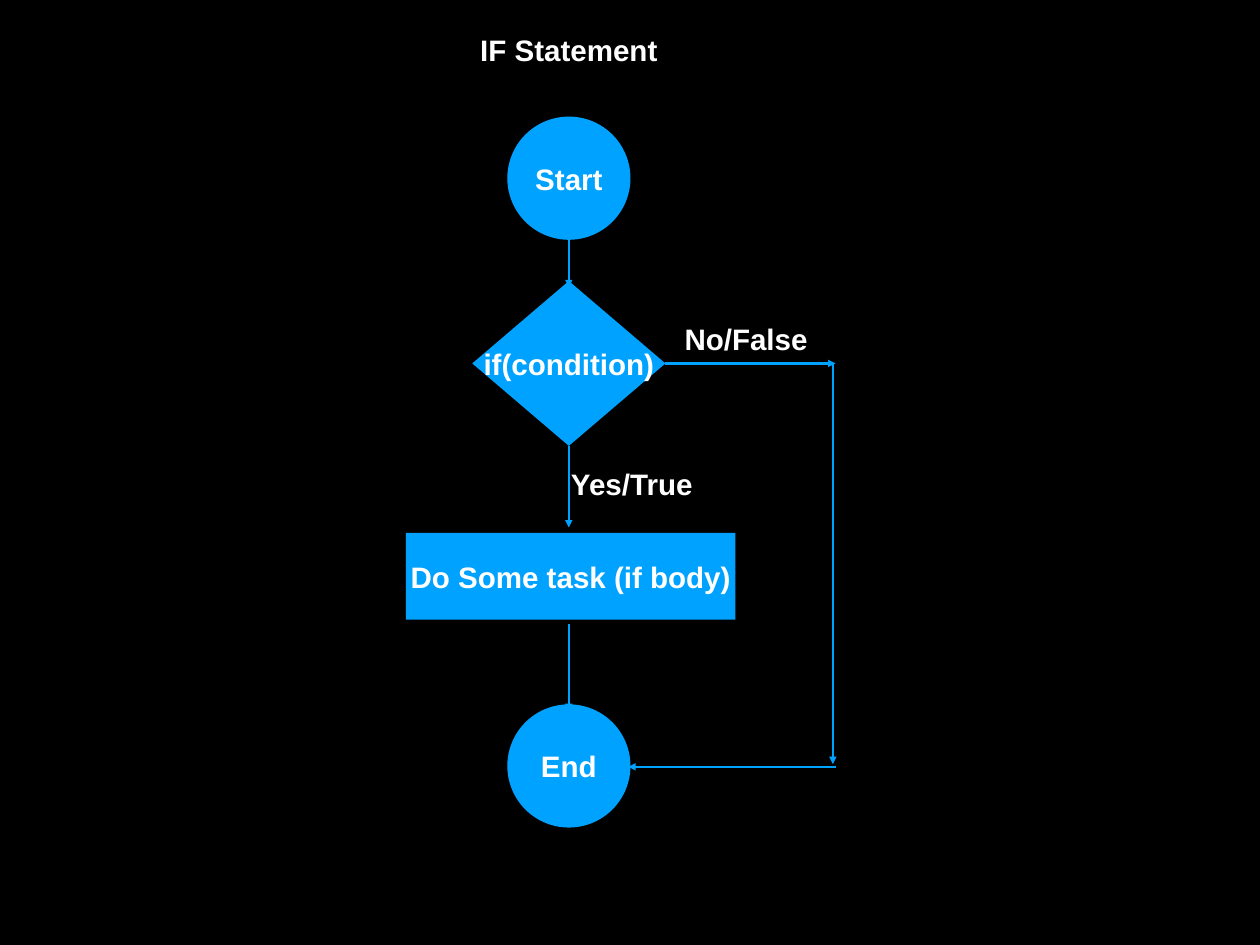
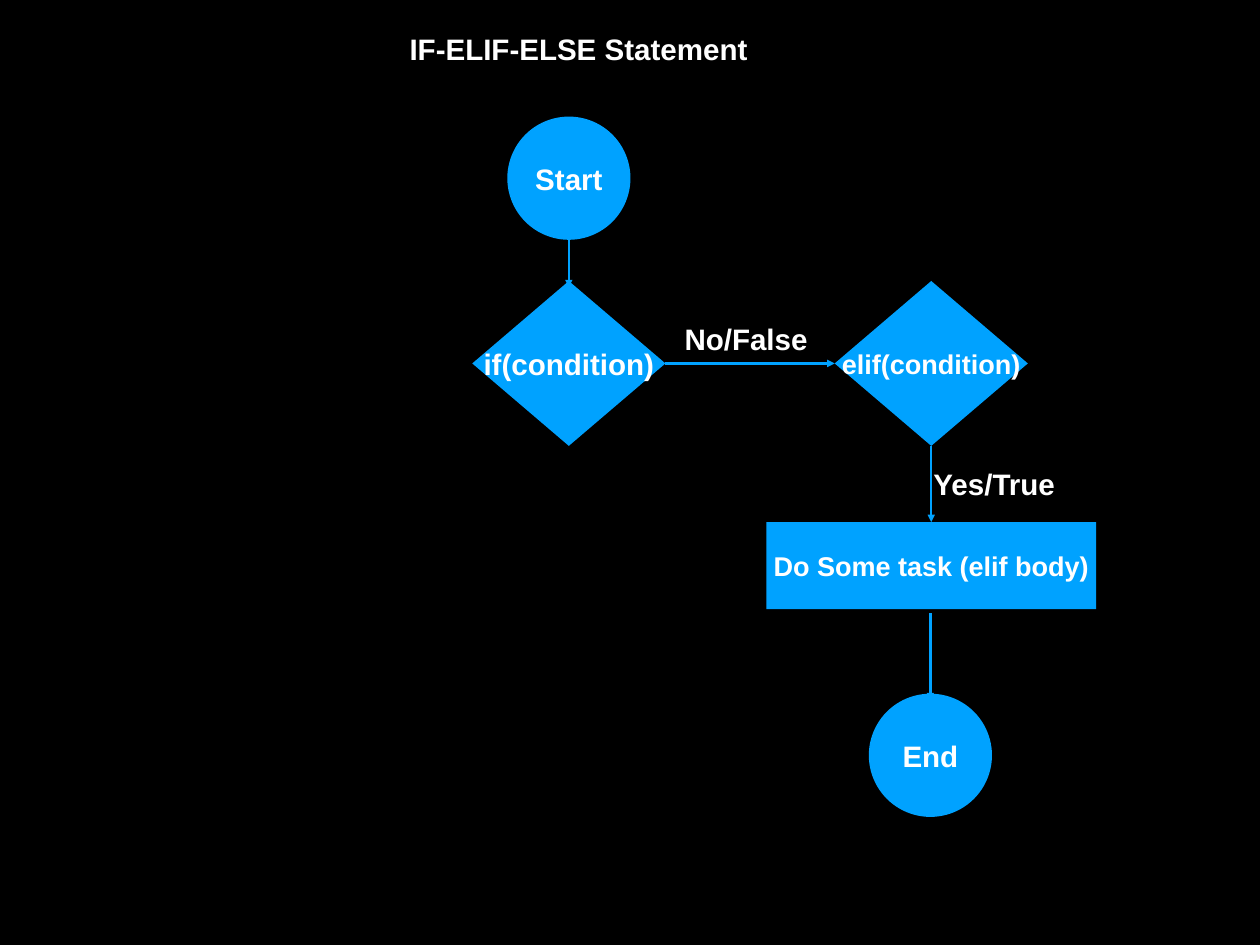
from dataclasses import dataclass

from lxml import etree
from pptx import Presentation
from pptx.dml.color import RGBColor
from pptx.enum.shapes import MSO_CONNECTOR, MSO_SHAPE
from pptx.enum.text import MSO_ANCHOR, MSO_AUTO_SIZE, PP_ALIGN
from pptx.oxml.ns import qn
from pptx.util import Inches, Pt

STRAIGHT = MSO_CONNECTOR.STRAIGHT
CIRCLE, DIAMOND, RECTANGLE = MSO_SHAPE.OVAL, MSO_SHAPE.DIAMOND, MSO_SHAPE.RECTANGLE
MIDDLE, CENTER = MSO_ANCHOR.MIDDLE, PP_ALIGN.CENTER
FIT_NONE = MSO_AUTO_SIZE.NONE
TOP, LEFT, BOTTOM, RIGHT = range(4)


@dataclass(frozen=True)
class Theme:
    background: RGBColor = RGBColor(0x00, 0x00, 0x00)
    accent: RGBColor = RGBColor(0x00, 0xA2, 0xFF)
    text: RGBColor = RGBColor(0xFF, 0xFF, 0xFF)
    font: str = "Arial"
    regular: int = 24
    compact: int = 22
    line: int = 2
    inset: float = 0.06


THEME = Theme()
MAIN_AXIS = 6.42
DECISION_Y = 4.1
DECISION_SIZE = (2.18, 1.86)
CIRCLE_SIZE = (1.39, 1.39)
TASK_SIZE = (3.72, 0.98)
BRANCH_LABEL_WIDTH = 1.8
LABEL_HEIGHT = 0.51
YES_ARROW_END = 5.95
BYPASS_X = 9.43


def write_text(shape, text, size):
    frame = shape.text_frame
    frame.word_wrap = False
    frame.auto_size = FIT_NONE
    frame.vertical_anchor = MIDDLE
    frame.margin_left = frame.margin_right = Inches(THEME.inset)
    frame.margin_top = frame.margin_bottom = Inches(THEME.inset)
    para = frame.paragraphs[0]
    para.alignment = CENTER
    span = para.add_run()
    span.text = text
    span.font.name = THEME.font
    span.font.size = Pt(size)
    span.font.bold = True
    span.font.color.rgb = THEME.text


def add_label(page, text, center, width=BRANCH_LABEL_WIDTH):
    x, y = center
    box = page.shapes.add_textbox(
        Inches(x - width / 2), Inches(y - LABEL_HEIGHT / 2), Inches(width), Inches(LABEL_HEIGHT)
    )
    write_text(box, text, THEME.regular)


def add_node(page, kind, text, center, size, text_size=THEME.regular):
    (x, y), (width, height) = center, size
    node = page.shapes.add_shape(
        kind, Inches(x - width / 2), Inches(y - height / 2), Inches(width), Inches(height)
    )
    node.shadow.inherit = False
    node.fill.solid()
    node.fill.fore_color.rgb = THEME.accent
    node.line.fill.background()
    write_text(node, text, text_size)
    return node


def add_arrow(page, start, end, source=None, target=None):
    arrow = page.shapes.add_connector(STRAIGHT, *(Inches(value) for value in (*start, *end)))
    arrow.line.color.rgb = THEME.accent
    arrow.line.width = Pt(THEME.line)
    outline = arrow._element.spPr.find(qn("a:ln"))
    etree.SubElement(outline, qn("a:tailEnd"), type="triangle")
    etree.SubElement(arrow._element.spPr, qn("a:effectLst"))
    if source:
        arrow.begin_connect(*source)
    if target:
        arrow.end_connect(*target)


def add_decision(page, text, axis, text_size=THEME.regular):
    return add_node(page, DIAMOND, text, (axis, DECISION_Y), DECISION_SIZE, text_size)


def draw_entry(page, axis):
    decision = add_decision(page, "if(condition)", axis)
    add_arrow(page, (axis, 2.6), (axis, 3.24))
    add_node(page, CIRCLE, "Start", (axis, 2.01), CIRCLE_SIZE)
    return decision


def draw_no_branch(page, decision, axis, target=None):
    add_arrow(page, (axis + 1, DECISION_Y), (BYPASS_X, DECISION_Y), (decision, RIGHT), target)
    add_label(page, "No/False", (axis + 2, 3.82))


def draw_yes_branch(page, decision, axis, text, task_center, end_axis, text_size):
    task_y = task_center[1]
    task = add_node(page, RECTANGLE, text, task_center, TASK_SIZE, text_size)
    touches = task_y - TASK_SIZE[1] / 2 < YES_ARROW_END
    target = (task, TOP) if touches else None
    add_arrow(page, (axis, 4.97), (axis, YES_ARROW_END), (decision, BOTTOM), target)
    add_label(page, "Yes/True", (axis + 0.71, 5.46))
    add_arrow(page, (end_axis, task_y + 0.54), (end_axis, task_y + 1.52))
    add_node(page, CIRCLE, "End", (end_axis, task_y + 2.14), CIRCLE_SIZE)


def draw_bypass(page, end_axis):
    add_arrow(page, (9.4, 4.09), (9.4, 8.62))
    add_arrow(page, (BYPASS_X, 8.65), (end_axis + 0.67, 8.65))


def add_if_slide(deck):
    page = deck.slides.add_slide(deck.slide_layouts[6])
    add_label(page, "IF Statement", (MAIN_AXIS, 0.56), 3)
    decision = draw_entry(page, MAIN_AXIS)
    draw_no_branch(page, decision, MAIN_AXIS)
    draw_yes_branch(
        page, decision, MAIN_AXIS, "Do Some task (if body)", (6.44, 6.5), MAIN_AXIS, THEME.regular
    )
    draw_bypass(page, MAIN_AXIS)


def add_elif_slide(deck):
    page = deck.slides.add_slide(deck.slide_layouts[6])
    add_label(page, "IF-ELIF-ELSE Statement", (6.53, 0.55), 5)
    axis = 10.51
    decision = draw_entry(page, MAIN_AXIS)
    alternative = add_decision(page, "elif(condition)", axis, THEME.compact)
    draw_no_branch(page, decision, MAIN_AXIS, (alternative, LEFT))
    draw_yes_branch(
        page, alternative, axis, "Do Some task (elif body)", (axis, 6.38), 10.5, THEME.compact
    )


def main():
    deck = Presentation()
    deck.slide_width, deck.slide_height = Inches(14.22), Inches(10.66)
    backdrop = deck.slide_master.background.fill
    backdrop.solid()
    backdrop.fore_color.rgb = THEME.background
    add_if_slide(deck)
    add_elif_slide(deck)
    deck.save("out.pptx")


if __name__ == "__main__":
    main()
